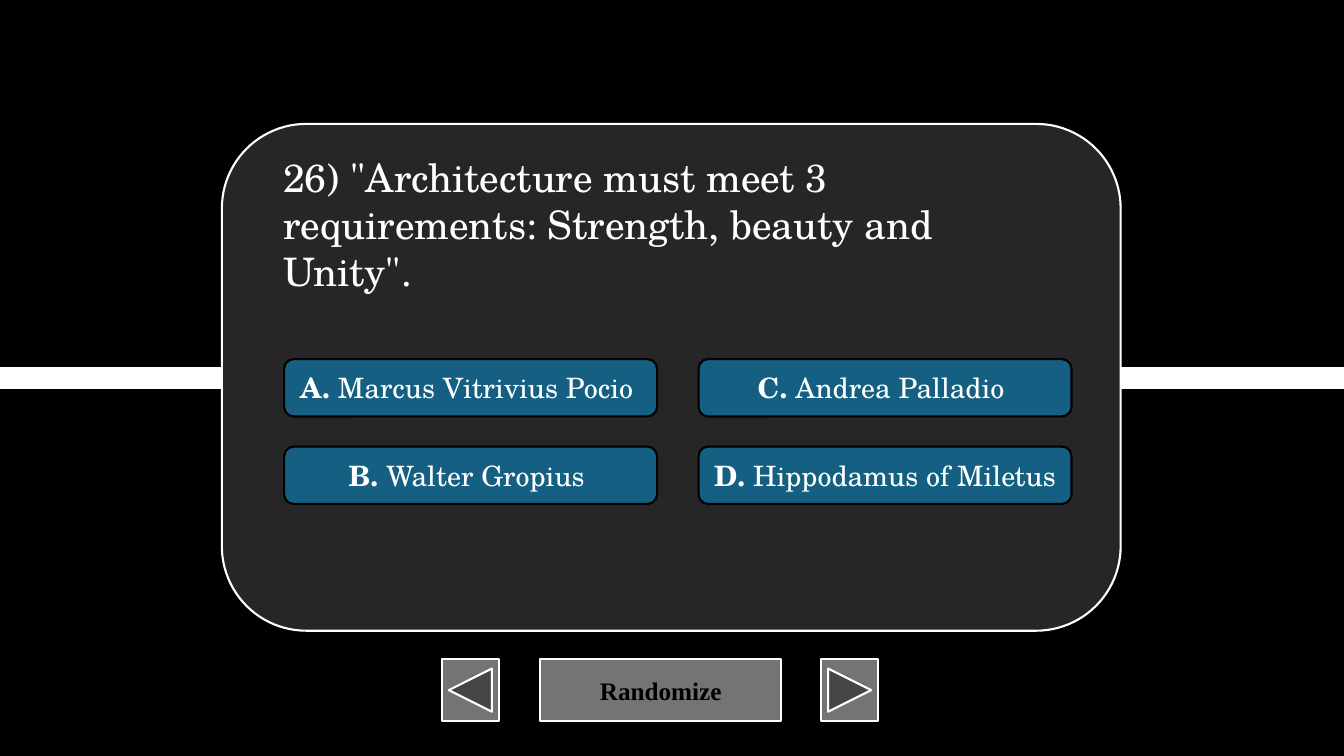
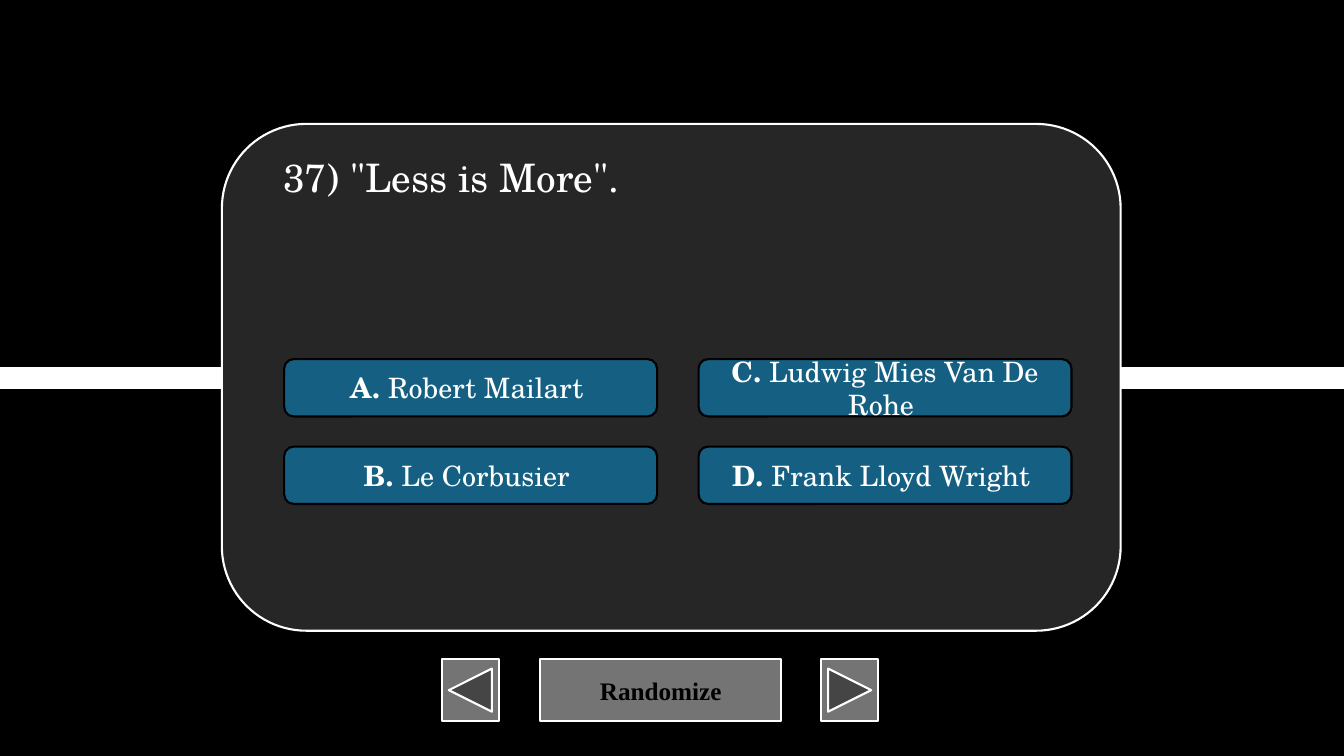
from itertools import product

from pptx import Presentation
from pptx.dml.color import RGBColor
from pptx.enum.shapes import MSO_CONNECTOR, MSO_SHAPE as SHAPE
from pptx.enum.text import MSO_ANCHOR, MSO_AUTO_SIZE, PP_ALIGN
from pptx.oxml.ns import qn
from pptx.util import Pt

WIDTH, HEIGHT = 960, 540
BLACK, WHITE = "000000", "FFFFFF"
CARD, ANSWER, BUTTON = "262626", "156082", "747474"
QUIZ_FONT, BUTTON_FONT = "TeX Gyre Schola", "Times New Roman"
TITLE_ONLY = 5
ANSWER_LEFT, ANSWER_TOP = 203, 256.5
ANSWER_WIDTH, ANSWER_HEIGHT = 266.4, 41
COLUMN_STEP, ROW_STEP = 296, 62.5
BUTTON_TOP, BUTTON_HEIGHT = 471, 44

QUESTIONS = [
    (
        '26) "Architecture must meet 3 requirements: Strength, beauty and Unity".',
        ["Marcus Vitrivius Pocio", "Walter Gropius", "Andrea Palladio", "Hippodamus of Miletus"],
    ),
    (
        '37) "Less is More".',
        ["Robert Mailart", "Le Corbusier", "Ludwig Mies Van De Rohe", "Frank Lloyd Wright"],
    ),
]


def paint(color_format, color):
    color_format.rgb = RGBColor.from_string(color)


def style_font(font, name, size, color, bold=False):
    font.name = name
    font.size = Pt(size)
    font.bold = bold
    paint(font.color, color)


def add_box(slide, kind, left, top, width, height, fill, line):
    shape = slide.shapes.add_shape(kind, Pt(left), Pt(top), Pt(width), Pt(height))
    shape.shadow.inherit = False
    shape.fill.solid()
    paint(shape.fill.fore_color, fill)
    paint(shape.line.color, line)
    shape.line.width = Pt(1.5)
    return shape


def add_band(slide):
    band = slide.shapes.add_connector(
        MSO_CONNECTOR.STRAIGHT, 0, Pt(HEIGHT / 2), Pt(WIDTH), Pt(HEIGHT / 2)
    )
    paint(band.line.color, WHITE)
    band.line.width = Pt(16)
    properties = band.element.spPr
    properties.append(properties.makeelement(qn("a:effectLst")))


def add_button(slide, kind, left, width, label=""):
    button = add_box(slide, kind, left, BUTTON_TOP, width, BUTTON_HEIGHT, BUTTON, WHITE)
    if label:
        button.text_frame.text = label
        paragraph = button.text_frame.paragraphs[0]
        paragraph.alignment = PP_ALIGN.CENTER
        style_font(paragraph.runs[0].font, BUTTON_FONT, 18, BLACK, bold=True)


def add_frame(slide):
    add_band(slide)
    add_button(slide, SHAPE.ACTION_BUTTON_CUSTOM, 386, 172, "Randomize")
    add_button(slide, SHAPE.ACTION_BUTTON_BACK_OR_PREVIOUS, 315.5, 41)
    add_button(slide, SHAPE.ACTION_BUTTON_FORWARD_OR_NEXT, 586.5, 41)
    add_box(slide, SHAPE.ROUNDED_RECTANGLE, 158.5, 88.5, 642, 362, CARD, WHITE)


def add_answer(slide, letter, answer, column, row):
    box = add_box(
        slide, SHAPE.ROUNDED_RECTANGLE,
        ANSWER_LEFT + column * COLUMN_STEP, ANSWER_TOP + row * ROW_STEP,
        ANSWER_WIDTH, ANSWER_HEIGHT, ANSWER, BLACK,
    )
    paragraph = box.text_frame.paragraphs[0]
    paragraph.alignment = PP_ALIGN.CENTER
    for text, bold in ((f"{letter}. ", True), (f"{answer} ", False)):
        run = paragraph.add_run()
        run.text = text
        style_font(run.font, QUIZ_FONT, 20, WHITE, bold)


def set_question(slide, question):
    title = slide.shapes.title
    title.left, title.top, title.width, title.height = Pt(195), Pt(106), Pt(570), Pt(75)
    text_frame = title.text_frame
    text_frame.text = question
    text_frame.word_wrap = True
    text_frame.auto_size = MSO_AUTO_SIZE.NONE
    text_frame.vertical_anchor = MSO_ANCHOR.TOP
    paragraph = text_frame.paragraphs[0]
    paragraph.alignment = PP_ALIGN.LEFT
    style_font(paragraph.runs[0].font, QUIZ_FONT, 28, WHITE)
    slide.shapes.element.append(title.element)


def add_question_slide(presentation, question, answers):
    slide = presentation.slides.add_slide(presentation.slide_layouts[TITLE_ONLY])
    add_frame(slide)
    for letter, answer, (column, row) in zip("ABCD", answers, product(range(2), repeat=2)):
        add_answer(slide, letter, answer, column, row)
    set_question(slide, question)


def main():
    presentation = Presentation()
    presentation.slide_width, presentation.slide_height = Pt(WIDTH), Pt(HEIGHT)
    background = presentation.slide_master.background.fill
    background.solid()
    paint(background.fore_color, BLACK)
    for question, answers in QUESTIONS:
        add_question_slide(presentation, question, answers)
    presentation.save("out.pptx")


if __name__ == "__main__":
    main()
